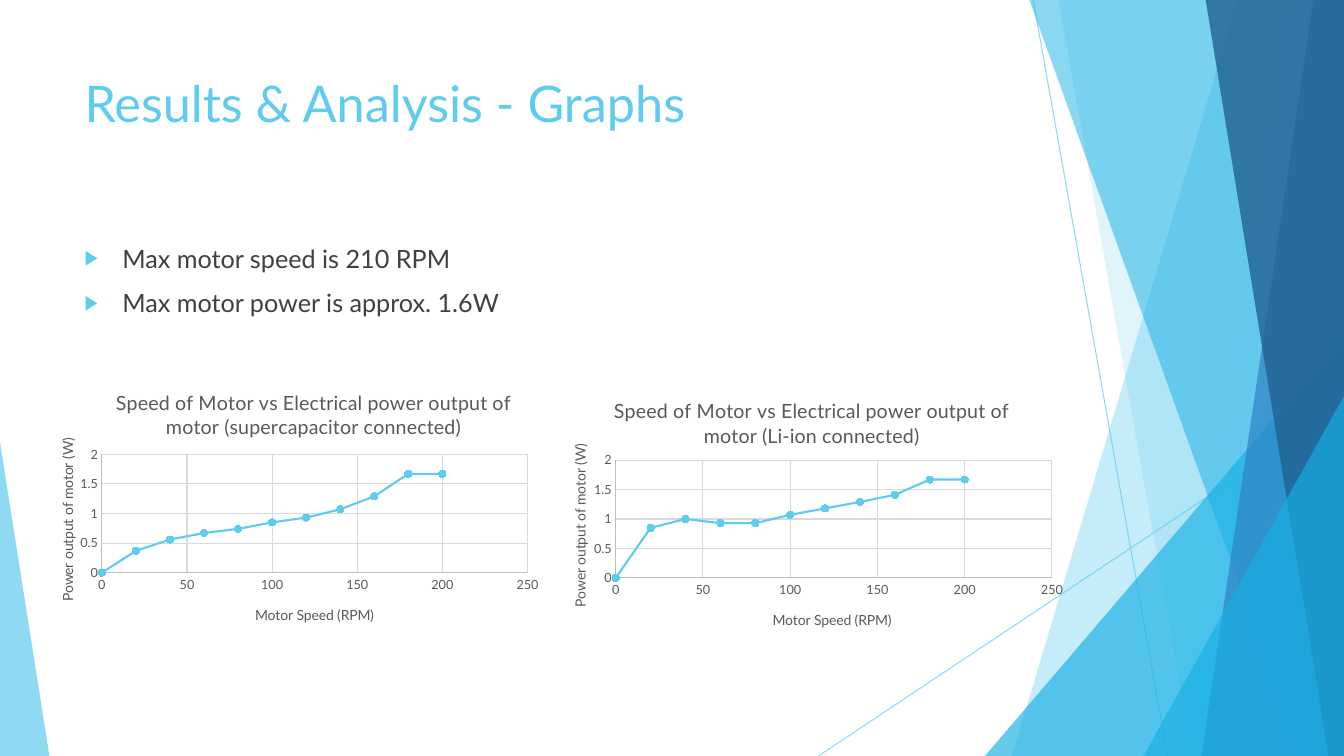
import pptx
import pptx.chart.data
import pptx.dml.color
import pptx.enum.chart
import pptx.enum.shapes
import pptx.oxml
import pptx.oxml.ns
import pptx.util
from dataclasses import dataclass
from lxml import etree

Pt = pptx.util.Pt
qn = pptx.oxml.ns.qn


@dataclass(frozen=True)
class Theme:
    font: str = "Lato"
    accent: str = "5FCBEF"
    bright: str = "17B0E4"
    blue: str = "2E83C3"
    navy: str = "226292"
    body: str = "404040"
    muted: str = "595959"
    axis: str = "BFBFBF"
    grid: str = "D9D9D9"
    title_size: float = 36
    body_size: float = 18
    chart_title_size: float = 14
    axis_title_size: float = 10
    tick_size: float = 9


def rgb(color):
    return pptx.dml.color.RGBColor.from_string(color)


def paint(fill, color, alpha=100):
    fill.solid()
    fill.fore_color.rgb = rgb(color)
    if alpha < 100:
        for clr in fill._xPr.iter(qn("a:srgbClr")):
            etree.SubElement(clr, qn("a:alpha"), val=str(alpha * 1000))


def stroke(line, color, width, alpha=100):
    line.width = Pt(width)
    paint(line.fill, color, alpha)


def style_font(font, theme, size, color):
    font.name = theme.font
    font.size = Pt(size)
    font.bold = False
    font.color.rgb = rgb(color)


def write(tf, text, *, theme, size, color, bullet=None, before=0):
    for i, line in enumerate(text.split("\n")):
        p = tf.paragraphs[0] if i == 0 else tf.add_paragraph()
        p.space_before = Pt(before)
        r = p.add_run()
        r.text = line
        style_font(r.font, theme, size, color)
        if bullet:
            pPr = p._p.get_or_add_pPr()
            pPr.set("marL", str(Pt(27)))
            pPr.set("indent", str(Pt(-27)))
            clr = etree.SubElement(pPr, qn("a:buClr"))
            etree.SubElement(clr, qn("a:srgbClr"), val=theme.accent)
            etree.SubElement(pPr, qn("a:buSzPct"), val="80000")
            etree.SubElement(pPr, qn("a:buFont"), typeface="Arial")
            etree.SubElement(pPr, qn("a:buChar"), char=bullet)


def set_layout(parent, after, **values):
    for old in parent.findall(qn("c:layout")):
        parent.remove(old)
    layout = etree.Element(qn("c:layout"))
    manual = etree.SubElement(layout, qn("c:manualLayout"))
    for name, value in values.items():
        etree.SubElement(manual, qn("c:" + name), val=str(value))
    if after is None:
        parent.insert(0, layout)
    else:
        after.addnext(layout)


class Deck:
    def __init__(self, theme):
        self.theme = theme
        self.prs = pptx.Presentation()
        self.prs.slide_width, self.prs.slide_height = Pt(960), Pt(540)
        self.s = self.prs.slides.add_slide(self.prs.slide_layouts[6])

    def line(self, x1, y1, x2, y2):
        sp = self.s.shapes.add_connector(
            pptx.enum.shapes.MSO_CONNECTOR.STRAIGHT, Pt(x1), Pt(y1), Pt(x2), Pt(y2))
        stroke(sp.line, self.theme.accent, 0.75, 70)
        etree.SubElement(sp._element.spPr, qn("a:effectLst"))

    def finish(self, sp, color, alpha):
        sp.shadow.inherit = False
        paint(sp.fill, color, alpha)
        sp.line.fill.background()

    def facet(self, top_x, bottom_x, color, alpha):
        fb = self.s.shapes.build_freeform(Pt(top_x), Pt(-0.6))
        fb.add_line_segments([(Pt(960), Pt(-0.6)), (Pt(960), Pt(540)), (Pt(bottom_x), Pt(540))])
        self.finish(fb.convert_to_shape(), color, alpha)

    def triangle(self, x, y, w, apex, color, alpha):
        sp = self.s.shapes.add_shape(
            pptx.enum.shapes.MSO_SHAPE.ISOSCELES_TRIANGLE, Pt(x), Pt(y), Pt(w), Pt(540 - y))
        sp.adjustments[0] = apex
        self.finish(sp, color, alpha)

    def text(self, x, y, w, h, text, **fmt):
        tf = self.s.shapes.add_textbox(Pt(x), Pt(y), Pt(w), Pt(h)).text_frame
        tf.word_wrap = True
        write(tf, text, theme=self.theme, **fmt)

    def chart_title(self, owner, text, x, y, size, rotation=None):
        tf = owner.text_frame
        write(tf, text, theme=self.theme, size=size, color=self.theme.muted)
        if rotation is not None:
            tf._txBody.bodyPr.set("rot", str(rotation * 60000))
            tf._txBody.bodyPr.set("vert", "horz")
        title = owner._element
        set_layout(title, title.find(qn("c:tx")), xMode="edge", yMode="edge", x=x, y=y)

    def axis(self, axis, maximum, step):
        t = self.theme
        axis.minimum_scale, axis.maximum_scale, axis.major_unit = 0, maximum, step
        axis.major_tick_mark = axis.minor_tick_mark = pptx.enum.chart.XL_TICK_MARK.NONE
        axis.tick_labels.number_format = "General"
        axis.tick_labels.number_format_is_linked = False
        style_font(axis.tick_labels.font, t, t.tick_size, t.muted)
        stroke(axis.format.line, t.axis, 0.75)
        axis.has_major_gridlines = True
        stroke(axis.major_gridlines.format.line, t.grid, 0.75)

    def power_chart(self, x, y, w, h, source, title_at, powers):
        t = self.theme
        data = pptx.chart.data.XyChartData()
        series = data.add_series("Series 1")
        for i, power in enumerate(powers):
            series.add_data_point(20 * i, power)
        chart = self.s.shapes.add_chart(
            pptx.enum.chart.XL_CHART_TYPE.XY_SCATTER_SMOOTH,
            Pt(x), Pt(y), Pt(w), Pt(h), data).chart
        chart.has_legend = False
        style_font(chart.font, t, 10, "000000")
        chart.has_title = True
        chart.chart_title.include_in_layout = False
        self.chart_title(chart.chart_title,
                         f"Speed of Motor vs Electrical power output of motor ({source} connected)",
                         *title_at, t.chart_title_size)
        self.axis(chart.category_axis, 250, 50)
        self.axis(chart.value_axis, 2, 0.5)
        self.chart_title(chart.category_axis.axis_title, "Motor Speed (RPM)",
                         0.43, 0.86, t.axis_title_size)
        self.chart_title(chart.value_axis.axis_title, "Power output of motor (W)",
                         0.05, 0.24, t.axis_title_size, rotation=-90)
        plot = chart.plots[0]
        plot.vary_by_categories = False
        ser = plot.series[0]
        ser.smooth = True
        stroke(ser.format.line, t.accent, 1.5)
        ser.marker.style = pptx.enum.chart.XL_MARKER_STYLE.CIRCLE
        ser.marker.size = 5
        paint(ser.marker.format.fill, t.accent)
        stroke(ser.marker.format.line, t.accent, 0.75)
        set_layout(chart._chartSpace.chart.plotArea, None, layoutTarget="inner",
                   xMode="edge", yMode="edge", x=0.14, y=0.31, w=0.82, h=0.44)


def main():
    t = Theme()
    d = Deck(t)
    d.line(738, 0, 834, 540)
    d.line(960, 290, 584.6, 540)
    d.facet(884.2, 722.9, t.accent, 36)
    d.facet(756, 851.8, t.accent, 20)
    d.triangle(703.5, 240, 256.5, 1, t.bright, 66)
    d.facet(735.1, 929.5, t.bright, 50)
    d.facet(938.2, 858.2, t.blue, 70)
    d.facet(861.1, 949, t.navy, 80)
    d.triangle(816.7, 283, 143.3, 1, t.bright, 66)
    d.triangle(0, 316, 35.3, 0, t.accent, 70)
    d.text(53.3, 48, 677, 104, "Results & Analysis - Graphs", size=t.title_size, color=t.accent)
    d.text(53.3, 170, 677, 305, "Max motor speed is 210 RPM\nMax motor power is approx. 1.6W",
           size=t.body_size, color=t.body, bullet="▶", before=10)
    d.power_chart(386.6, 269.3, 380, 191.5, "Li-ion", (0.13, 0.06),
                  (0, 0.85, 1, 0.93, 0.93, 1.07, 1.18, 1.29, 1.41, 1.67, 1.67))
    d.power_chart(20.9, 265, 370.8, 192.2, "supercapacitor", (0.16, 0.05),
                  (0, 0.37, 0.56, 0.67, 0.74, 0.85, 0.93, 1.07, 1.29, 1.67, 1.67))
    d.prs.save("out.pptx")


if __name__ == "__main__":
    main()
